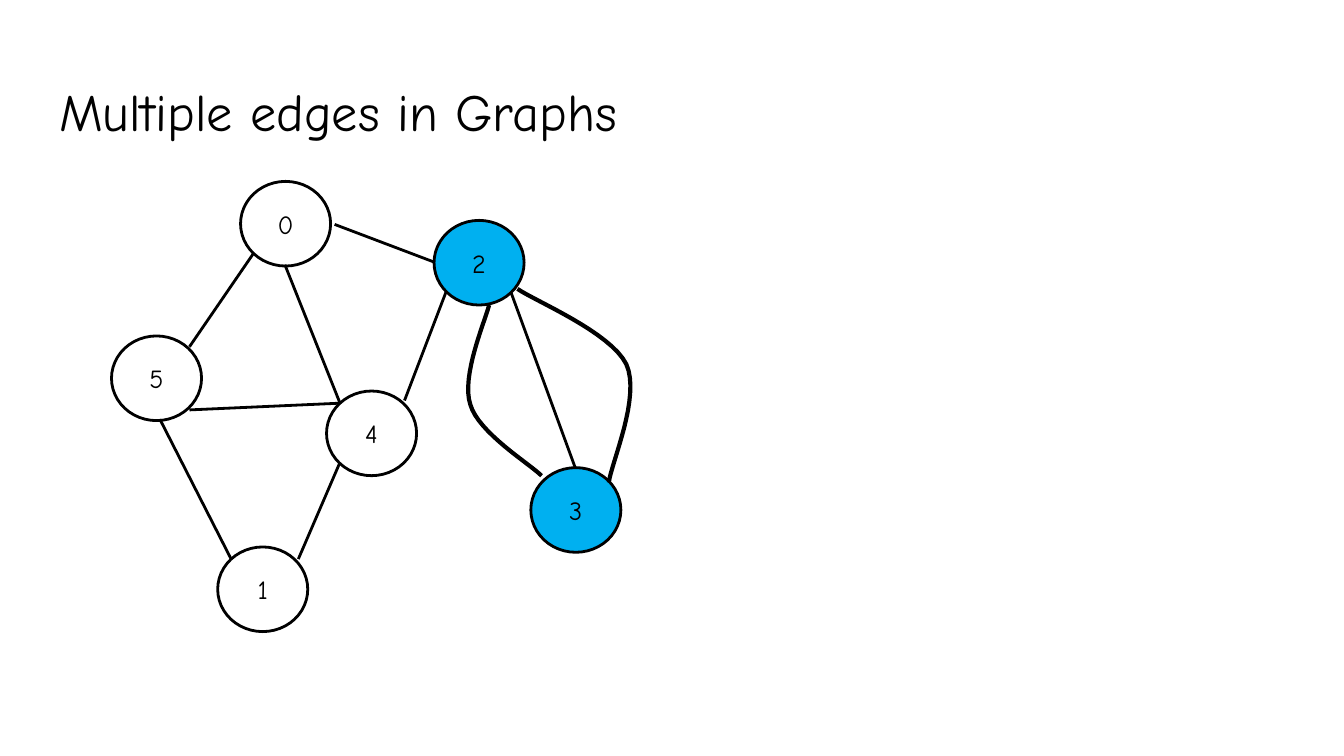
from lxml import etree
from pptx import Presentation
from pptx.dml.color import RGBColor
from pptx.enum.shapes import MSO_CONNECTOR, MSO_SHAPE
from pptx.enum.text import MSO_ANCHOR, MSO_AUTO_SIZE, PP_ALIGN
from pptx.oxml.ns import qn
from pptx.util import Inches, Pt

TOP, MIDDLE = MSO_ANCHOR.TOP, MSO_ANCHOR.MIDDLE
LEFT, CENTER = PP_ALIGN.LEFT, PP_ALIGN.CENTER
NO_FIT = MSO_AUTO_SIZE.NONE
CIRCLE = MSO_SHAPE.FLOWCHART_CONNECTOR
STRAIGHT = MSO_CONNECTOR.STRAIGHT

COLORS = {"ink": "000000", "mark": "00B0F0"}
INK = RGBColor.from_string(COLORS["ink"])
FONT = "Comic Neue"
STEPS = 16


def write(shape, text, size, align, anchor):
    frame = shape.text_frame
    frame.text = text
    frame.word_wrap = True
    frame.auto_size = NO_FIT
    frame.vertical_anchor = anchor
    frame.margin_left = frame.margin_right = Inches(0.1)
    frame.margin_top = frame.margin_bottom = Inches(0.1)
    para = frame.paragraphs[0]
    para.alignment = align
    para.font.name = FONT
    para.font.size = Pt(size)
    para.font.color.rgb = INK


def bezier(points, t):
    """Return the point at t on a cubic curve given by four points."""
    u = 1 - t
    weights = (u**3, 3 * u * u * t, 3 * u * t * t, t**3)
    return tuple(sum(w * p[axis] for w, p in zip(weights, points))
                 for axis in (0, 1))


prs = Presentation()
prs.slide_width = Inches(10)
prs.slide_height = Inches(10 * 9 / 16)
slide = prs.slides.add_slide(prs.slide_layouts[5])
shapes = slide.shapes

title = shapes.title
title.left, title.top = Inches(0.34), Inches(0.49)
title.width, title.height = Inches(9.32), Inches(0.63)
write(title, "Multiple edges in Graphs", 28, LEFT, TOP)

# Nodes: label, left, top
nodes = [
    ("0", 1.79, 1.35), ("4", 2.43, 2.91), ("3", 3.95, 3.48),
    ("1", 1.62, 4.07), ("5", 0.83, 2.5), ("2", 3.23, 1.64),
]
for label, x, y in nodes:
    node = shapes.add_shape(CIRCLE, Inches(x), Inches(y),
                            Inches(0.67), Inches(0.63))
    node.shadow.inherit = False
    if label in ("2", "3"):
        node.fill.solid()
        node.fill.fore_color.rgb = RGBColor.from_string(COLORS["mark"])
    else:
        node.fill.background()
    node.line.color.rgb = INK
    node.line.width = Pt(1.5)
    write(node, label, 14, CENTER, MIDDLE)

# Single edges: start x, start y, end x, end y
edges = [
    (1.41, 2.58, 1.89, 1.88),  # 5-0
    (2.49, 1.67, 3.23, 1.95),  # 0-2
    (2.12, 1.97, 2.53, 3),     # 0-4
    (1.41, 3.05, 2.53, 3),     # 5-4
    (1.19, 3.12, 1.72, 4.16),  # 5-1
    (2.22, 4.16, 2.53, 3.44),  # 1-4
    (3.01, 2.98, 3.32, 2.17),  # 4-2
    (3.8, 2.17, 4.28, 3.48),   # 2-3
]
for ends in edges:
    edge = shapes.add_connector(STRAIGHT, *(Inches(v) for v in ends))
    edge.line.color.rgb = INK
    edge.line.width = Pt(1.5)
    etree.SubElement(edge.element.spPr, qn("a:effectLst"))

# Extra edges between 2 and 3: two cubic curves each, sharing the middle point
curves = [
    [(3.85, 2.15), (3.98, 2.24), (4.54, 2.47), (4.66, 2.71),
     (4.77, 2.95), (4.55, 3.44), (4.53, 3.59)],
    [(3.64, 2.27), (3.61, 2.39), (3.43, 2.8), (3.5, 3.01),
     (3.56, 3.22), (3.94, 3.45), (4.03, 3.54)],
]
for curve in curves:
    dots = [bezier(curve[k:k + 4], i / STEPS)
            for k in (0, 3) for i in range(1, STEPS + 1)]
    path = shapes.build_freeform(*(Inches(v) for v in curve[0]))
    path.add_line_segments([(Inches(x), Inches(y)) for x, y in dots],
                           close=False)
    arc = path.convert_to_shape()
    arc.shadow.inherit = False
    arc.fill.background()
    arc.line.color.rgb = INK
    arc.line.width = Pt(2.25)

prs.save("out.pptx")
